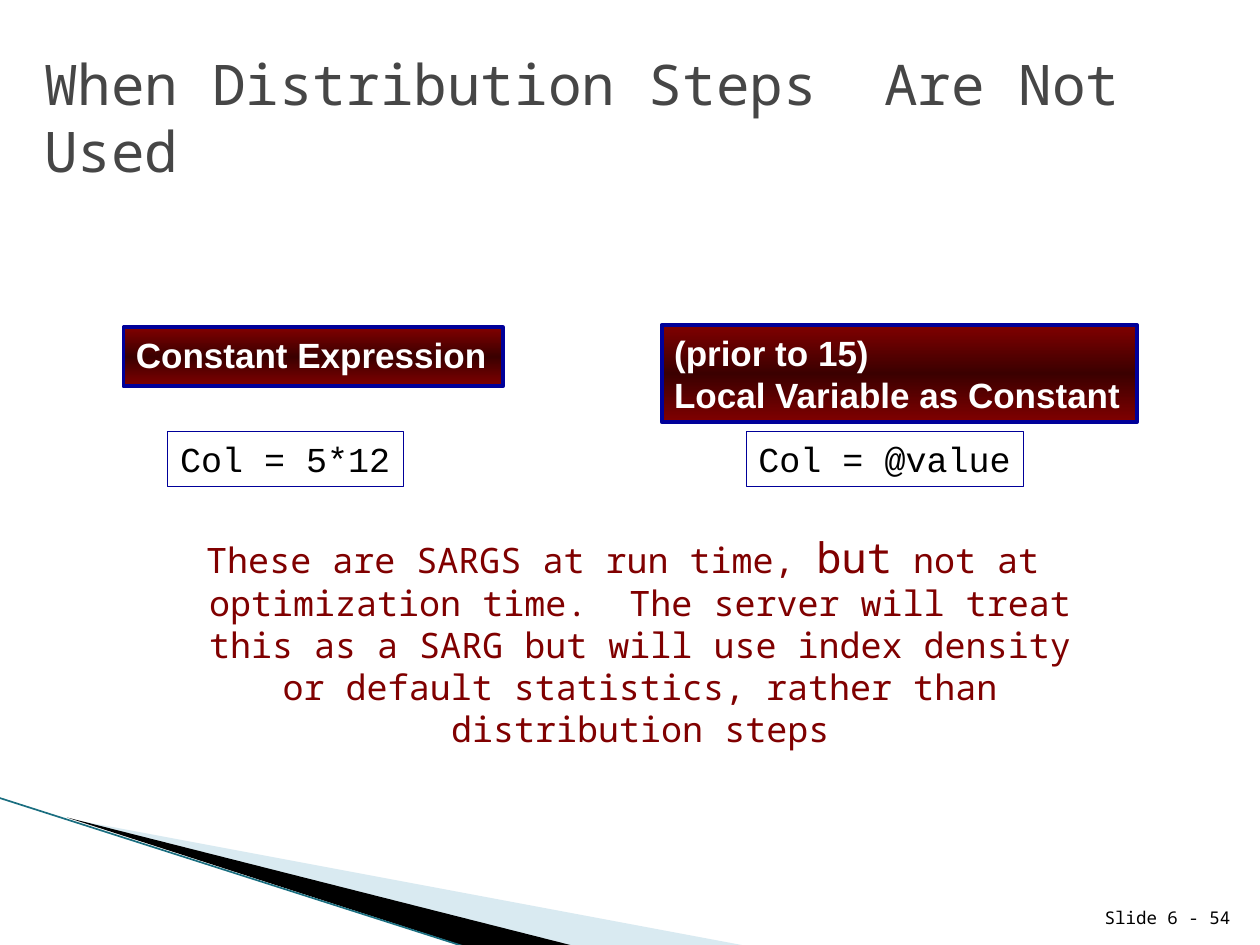
"""Build the slide on cases where distribution steps are not used."""
from copy import deepcopy
from dataclasses import dataclass

from pptx import Presentation
from pptx.dml.color import RGBColor
from pptx.enum.shapes import MSO_CONNECTOR, MSO_SHAPE
from pptx.enum.text import MSO_ANCHOR, MSO_AUTO_SIZE, PP_ALIGN
from pptx.oxml.ns import qn
from pptx.oxml.xmlchemy import OxmlElement
from pptx.util import Cm, Pt

MONO = "Noto Sans Mono"
MAROON = "800000"
NAVY = "000099"


@dataclass
class Box:
    left: float
    top: float
    width: float
    height: float
    lines: list[str]


@dataclass
class Wedge:
    points: list[tuple[float, float]]
    color: str
    alpha: int = 100


WEDGES = [
    Wedge([(1.4, 16.51), (15.11, 19.08), (11.58, 19.08)], "A0CBDC", 40),
    Wedge([(1.35, 16.48), (11.61, 19.08), (9.45, 19.1)], "000000"),
]
HEADINGS = [
    Box(2.49, 6.6, 7.65, 1.19, ["Constant Expression"]),
    Box(13.34, 6.55, 9.58, 1.96, ["(prior to 15)", "Local Variable as Constant"]),
]
EXAMPLES = [
    Box(3.38, 8.69, 4.75, 1.12, ["Col = 5*12"]),
    Box(15.04, 8.69, 5.59, 1.12, ["Col = @value"]),
]
TITLE = Box(0.64, 0.76, 23.5, 3.18, ["When Distribution Steps  Are Not Used"])
FOOTER = Box(20.96, 17.81, 4.09, 1.02, ["Slide 6 - 54"])
BODY = Box(2.34, 10.59, 20.12, 6.35, [])
BODY_RUNS = [
    ("These are SARGS at run time, ", 20),
    ("but", 24),
    (" not at optimization time.  The server will treat this as a SARG but will use "
     "index density or default statistics, rather than distribution steps", 20),
]


def rgb(color: str) -> RGBColor:
    """Turn a hex string into a colour."""
    return RGBColor.from_string(color)


def frame(box: Box) -> list[Cm]:
    """Return position and size of a box."""
    return [Cm(v) for v in (box.left, box.top, box.width, box.height)]


def set_font(p, name: str, size: float, color: str, bold: bool = False) -> None:
    """Set the font of a paragraph."""
    p.font.name, p.font.size, p.font.bold = name, Pt(size), bold
    p.font.color.rgb = rgb(color)


def add_wedge(s, wedge: Wedge) -> None:
    """Draw a filled triangle without outline."""
    start, *rest = [(Cm(x), Cm(y)) for x, y in wedge.points]
    builder = s.shapes.build_freeform(*start, scale=1.0)
    builder.add_line_segments(rest, close=True)
    sp = builder.convert_to_shape()
    sp.shadow.inherit = False
    sp.fill.solid()
    sp.fill.fore_color.rgb = rgb(wedge.color)
    sp.line.fill.background()
    if wedge.alpha < 100:
        alpha = OxmlElement("a:alpha")
        alpha.set("val", str(wedge.alpha * 1000))
        sp.fill.fore_color._xFill.find(qn("a:srgbClr")).append(alpha)


def add_edge(s) -> None:
    """Draw the thin line along the corner decoration."""
    line = s.shapes.add_connector(
        MSO_CONNECTOR.STRAIGHT, Cm(-0.03), Cm(16.08), Cm(9.42), Cm(19.1))
    line.line.color.rgb = rgb("1A6E80")
    line.line.width = Pt(0.95)
    line._element.spPr.append(OxmlElement("a:effectLst"))


def add_text(s, box: Box, size: float, color: str, anchor: MSO_ANCHOR,
             align: PP_ALIGN = PP_ALIGN.LEFT):
    """Add a wrapping text box and return its paragraph."""
    tf = s.shapes.add_textbox(*frame(box)).text_frame
    tf.word_wrap = True
    tf.vertical_anchor = anchor
    p = tf.paragraphs[0]
    p.text = "".join(box.lines)
    p.alignment = align
    set_font(p, MONO, size, color)
    return p


def add_body(s) -> None:
    """Add the explanation with its larger word."""
    p = add_text(s, BODY, 20, MAROON, MSO_ANCHOR.TOP, PP_ALIGN.CENTER)
    p.space_before, p.space_after = Pt(12), Pt(6)
    pPr = p._p.get_or_add_pPr()
    pPr.set("marL", str(Cm(1.02)))
    pPr.set("indent", str(Cm(-0.71)))
    for text, size in BODY_RUNS:
        r = p.add_run()
        r.text = text
        r.font.size = Pt(size)
        r.font.name = MONO
        r.font.color.rgb = rgb(MAROON)


def add_box(s, box: Box, font: str, color: str, line_width: float, bold: bool = False):
    """Add an outlined rectangle with 20 pt text and return it."""
    sp = s.shapes.add_shape(MSO_SHAPE.RECTANGLE, *frame(box))
    sp.shadow.inherit = False
    sp.fill.solid()
    sp.fill.fore_color.rgb = rgb("FFFFFF")
    sp.line.color.rgb = rgb(NAVY)
    sp.line.width = Pt(line_width)
    tf = sp.text_frame
    tf.text = "\n".join(box.lines)
    tf.word_wrap = False
    tf.auto_size = MSO_AUTO_SIZE.SHAPE_TO_FIT_TEXT
    tf.vertical_anchor = MSO_ANCHOR.TOP
    for p in tf.paragraphs:
        p.alignment = PP_ALIGN.LEFT
        set_font(p, font, 20, color, bold)
    return sp


def shade(sp) -> None:
    """Fill a shape with a vertical maroon gradient, dark in the middle."""
    sp.fill.gradient()
    sp.fill.gradient_angle = 90
    stops = sp._element.spPr.find(qn("a:gradFill")).find(qn("a:gsLst"))
    stops.append(deepcopy(stops[-1]))
    colors = (MAROON, "3B0000", MAROON)
    for stop, position, color in zip(sp.fill.gradient_stops, (0, 0.5, 1), colors):
        stop.position = position
        stop.color.rgb = rgb(color)


def main() -> None:
    """Build and save the presentation."""
    prs = Presentation()
    prs.slide_width, prs.slide_height = Cm(25.4), Cm(19.05)
    s = prs.slides.add_slide(prs.slide_layouts[6])
    for wedge in WEDGES:
        add_wedge(s, wedge)
    add_edge(s)
    add_body(s)
    add_text(s, FOOTER, 10, "000000", MSO_ANCHOR.BOTTOM, PP_ALIGN.RIGHT)
    add_text(s, TITLE, 32, "464646", MSO_ANCHOR.MIDDLE).space_after = Pt(12)
    for box in HEADINGS:
        shade(add_box(s, box, "Arial", "FFFFFF", 2.25, bold=True))
    for box in EXAMPLES:
        add_box(s, box, "Courier New", "000000", 0.25)
    prs.save("out.pptx")


if __name__ == "__main__":
    main()
